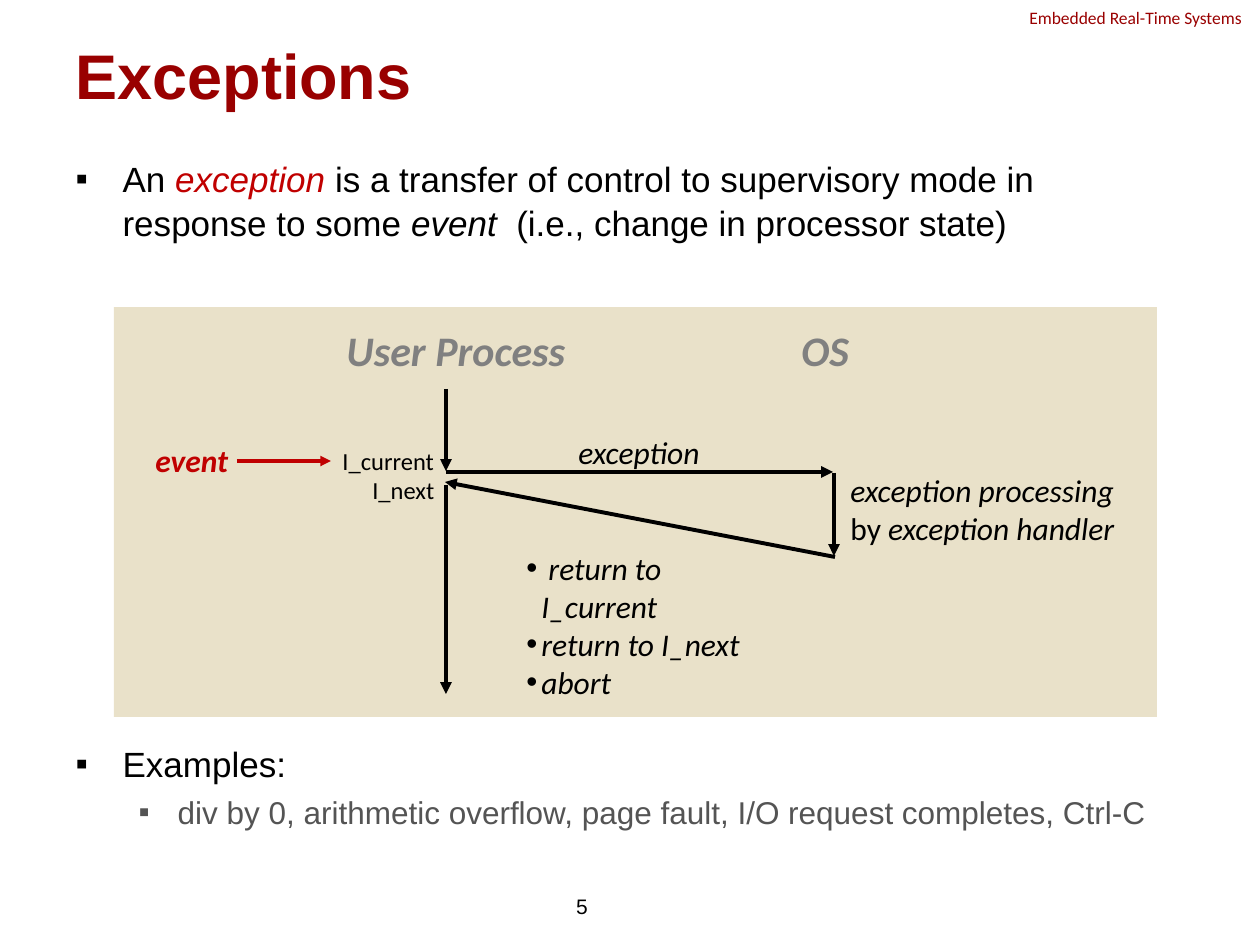
from lxml import etree
from pptx import Presentation
from pptx.dml.color import RGBColor
from pptx.enum import shapes, text
from pptx.oxml.ns import qn
from pptx.util import Pt
from pptx import util as u

PX = 914400 / 126  # EMU in one px
COLORS = {name: RGBColor.from_string(value) for name, value in {
    "black": "000000", "title": "990000", "accent": "C00000",
    "heading": "808080", "detail": "545454", "panel": "E9E1C9"}.items()}


def px(*lengths):
    return [u.Emu(round(length * PX)) for length in lengths]


def write(paragraph, runs, size, font="Calibri", bullet=None, indent=0, hang=0):
    """Add (text, colour, style) runs, where style may hold b and i; indents are px."""
    for content, color, style in runs:
        run = paragraph.add_run()
        run.text = content
        run.font.name, run.font.size = font, Pt(size)
        run.font.bold, run.font.italic = "b" in style, "i" in style
        run.font.color.rgb = COLORS[color]
    if bullet:
        properties = paragraph._p.get_or_add_pPr()
        left, first = px(indent, -hang)
        properties.set("marL", str(left))
        properties.set("indent", str(first))
        etree.SubElement(properties, qn("a:buFont")).set("typeface", "Arial")
        etree.SubElement(properties, qn("a:buChar")).set("char", bullet)


presentation = Presentation()
presentation.slide_width, presentation.slide_height = px(1260, 945)
slide = presentation.slides.add_slide(presentation.slide_layouts[1])

# Title and list
title = slide.shapes.title
title.left, title.top, title.width, title.height = px(63, 38, 1134, 73)
title.text_frame.auto_size = text.MSO_AUTO_SIZE.NONE
title.text_frame.vertical_anchor = text.MSO_ANCHOR.MIDDLE
title.text_frame.paragraphs[0].alignment = text.PP_ALIGN.LEFT
write(title.text_frame.paragraphs[0], [("Exceptions", "title", "b")], 36, "Arial")

body = slide.placeholders[1]
body.left, body.top, body.width, body.height = px(63, 149, 1134, 695)
body.text_frame.auto_size = text.MSO_AUTO_SIZE.NONE
definition = [
    ("An ", "black", ""), ("exception", "accent", "i"),
    (" is a transfer of control to supervisory mode in response to some ", "black", ""),
    ("event", "black", "i"), ("  (i.e., change in processor state)", "black", "")]
examples = "div by 0, arithmetic overflow, page fault, I/O request completes, Ctrl-C"
# runs, size, level, space before (leaves room for the diagram), indent, hang
items = [(definition, 20, 0, 0, 47, 47),
         ([("Examples:", "black", "")], 20, 0, 284, 47, 47),
         ([(examples, "detail", "")], 18, 1, 3.6, 102, 39)]
for index, (runs, size, level, before, indent, hang) in enumerate(items):
    paragraph = body.text_frame.paragraphs[0] if index == 0 else body.text_frame.add_paragraph()
    paragraph.level = level
    paragraph.line_spacing = 1.05
    paragraph.space_before = Pt(before)
    write(paragraph, runs, size, "Arial", "▪", indent, hang)

# Diagram panel
panel = slide.shapes.add_shape(shapes.MSO_SHAPE.RECTANGLE, *px(114, 307, 1043, 410))
panel.shadow.inherit = False
panel.fill.solid()
panel.fill.fore_color.rgb = COLORS["panel"]
panel.line.fill.background()

# Arrows: start, end, colour, width
arrows = [((446, 389), (446, 471), "black", 2.25),  # user process runs
          ((446, 472), (833, 472), "black", 2.25),  # exception
          ((834, 473), (834, 556), "black", 2.25),  # handler runs
          ((835, 557), (445, 482), "black", 2.25),  # return
          ((446, 485), (446, 694), "black", 2.25),  # user process resumes
          ((237, 461), (331, 461), "accent", 2)]    # event
for start, end, color, width in arrows:
    arrow = slide.shapes.add_connector(shapes.MSO_CONNECTOR.STRAIGHT, *px(*start, *end))
    arrow.line.color.rgb = COLORS[color]
    arrow.line.width = Pt(width)
    etree.SubElement(arrow.line._get_or_add_ln(), qn("a:tailEnd")).set("type", "triangle")
    etree.SubElement(arrow._element.spPr, qn("a:effectLst"))

# Labels: box, wrap, size, font, bullet, paragraphs
labels = [
    ((1017, 1, 286, 34), True, 10, "Calibri", None,
     [[("Embedded Real-Time Systems", "title", "")]]),
    ((334, 318, 248, 63), False, 24, "Calibri", None, [[("User Process", "heading", "bi")]]),
    ((789, 318, 74, 63), False, 24, "Calibri", None, [[("OS", "heading", "bi")]]),
    ((566, 427, 147, 50), False, 18, "Calibri", None, [[("exception", "black", "i")]]),
    ((838, 465, 296, 127), True, 18, "Calibri", None,
     [[("exception processing", "black", "i")],
      [("by ", "black", ""), ("exception handler", "black", "i")]]),
    ((514, 543, 282, 127), False, 18, "Calibri", "•",
     [[(" return to I_current", "black", "i")],
      [("return to I_next", "black", "i")],
      [("abort", "black", "i")]]),
    ((143, 435, 111, 50), True, 18, "Calibri", None, [[("event", "accent", "bi")]]),
    ((330, 440, 120, 43), False, 14, "Calibri", None, [[("I_current", "black", "")]]),
    ((360, 469, 90, 43), False, 14, "Calibri", None, [[("I_next", "black", "")]]),
]
for box, wrap, size, font, bullet, paragraphs in labels:
    frame = slide.shapes.add_textbox(*px(*box)).text_frame
    frame.word_wrap = wrap
    for index, runs in enumerate(paragraphs):
        paragraph = frame.paragraphs[0] if index == 0 else frame.add_paragraph()
        write(paragraph, runs, size, font, bullet, 15, 15)

# Page number
number = slide.shapes.add_textbox(*px(306, 881, 294, 50)).text_frame
number.word_wrap = True
number.vertical_anchor = text.MSO_ANCHOR.MIDDLE
number.paragraphs[0].alignment = text.PP_ALIGN.RIGHT
write(number.paragraphs[0], [("5", "black", "")], 12, "Arial")

presentation.save("out.pptx")
